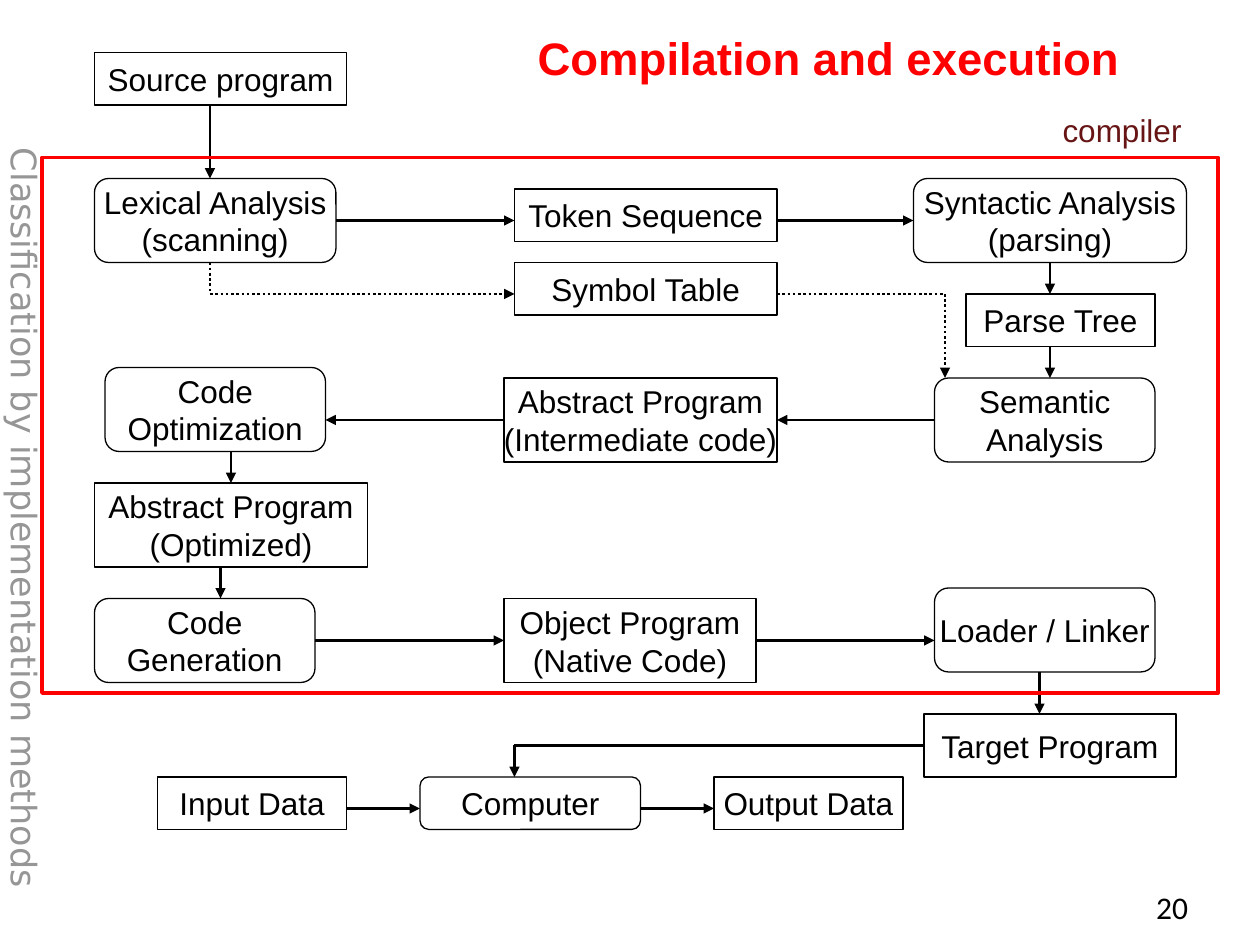
from dataclasses import dataclass
from itertools import pairwise

from lxml.etree import SubElement
from pptx import Presentation
from pptx.dml.color import RGBColor
from pptx.enum.dml import MSO_LINE
from pptx.enum.shapes import MSO_CONNECTOR, MSO_SHAPE
from pptx.enum.text import MSO_ANCHOR, MSO_AUTO_SIZE, PP_ALIGN
from pptx.oxml.ns import qn
from pptx.util import Cm, Pt


@dataclass(frozen=True)
class Theme:
    black: str = "000000"
    red: str = "FF0000"
    maroon: str = "661414"
    grey: str = "969696"
    font: str = "Arial"
    number_font: str = "Calibri"
    side_font: str = "DejaVu Sans"
    title_size: float = 26
    side_size: float = 20
    text_size: float = 18
    box_line: float = 0.75
    arrow_line: float = 1.5
    frame_line: float = 2.25


THEME = Theme()

# Left, top, width, height in grid units, then text
DATA_BOXES = [
    (9, 5, 24, 5, "Source program"),
    (49, 18, 25, 5, "Token Sequence"),
    (49, 25, 25, 5, "Symbol Table"),
    (92, 28, 18, 5, "Parse Tree"),
    (48, 36, 26, 8, "Abstract Program\n(Intermediate code)"),
    (9, 46, 26, 8, "Abstract Program\n(Optimized)"),
    (48, 57, 24, 8, "Object Program\n(Native Code)"),
    (88, 68, 24, 6, "Target Program"),
    (15, 74, 18, 5, "Input Data"),
    (68, 74, 18, 5, "Output Data"),
]
STEP_BOXES = [
    (9, 17, 23, 8, "Lexical Analysis\n(scanning)"),
    (87, 17, 26, 8, "Syntactic Analysis\n(parsing)"),
    (89, 36, 21, 8, "Semantic\nAnalysis"),
    (10, 35, 21, 8, "Code\nOptimization"),
    (9, 57, 21, 8, "Code\nGeneration"),
    (89, 56, 21, 8, "Loader / Linker"),
    (40, 74, 21, 5, "Computer"),
]
SOLID_ROUTES = [
    [(20, 10), (20, 17)],
    [(32, 21), (49, 21)],
    [(74, 21), (87, 21)],
    [(100, 25), (100, 28)],
    [(100, 33), (100, 36)],
    [(89, 40), (74, 40)],
    [(48, 40), (31, 40)],
    [(22, 43), (22, 46)],
    [(21, 54), (21, 57)],
    [(30, 61), (48, 61)],
    [(72, 61), (89, 61)],
    [(99, 64), (99, 68)],
    [(88, 71), (49, 71), (49, 74)],
    [(33, 77), (40, 77)],
    [(61, 77), (68, 77)],
]
DOTTED_ROUTES = [
    [(20, 25), (20, 28), (49, 28)],
    [(74, 28), (90, 28), (90, 36)],
]


def grid(*units):
    """Convert grid units, twelve to the inch, to lengths."""
    return [Cm(2.54 * u / 12) for u in units]


def assign(obj, values):
    for name, value in values.items():
        setattr(obj, name, value)


def write(sp, text, color=THEME.black, size=THEME.text_size, font=THEME.font,
          bold=False, align=PP_ALIGN.LEFT, anchor=MSO_ANCHOR.TOP, wrap=False):
    tf = sp.text_frame
    assign(tf, {"word_wrap": wrap, "vertical_anchor": anchor,
                "auto_size": MSO_AUTO_SIZE.NONE})
    p = tf.paragraphs[0]
    assign(p, {"text": text, "alignment": align})
    for r in p.runs:
        assign(r.font, {"name": font, "size": Pt(size), "bold": bold})
        r.font.color.rgb = RGBColor.from_string(color)
    return p


def add_outline(slide, kind, place, color=THEME.black, width=THEME.box_line):
    sp = slide.shapes.add_shape(kind, *grid(*place))
    sp.shadow.inherit = False
    sp.fill.background()
    sp.line.color.rgb = RGBColor.from_string(color)
    sp.line.width = Pt(width)
    return sp


def add_box(slide, kind, place, text):
    sp = add_outline(slide, kind, place)
    write(sp, text, align=PP_ALIGN.CENTER, anchor=MSO_ANCHOR.MIDDLE)


def add_route(slide, points, dash=MSO_LINE.SOLID):
    """Join the points with straight lines; the last one has an arrowhead."""
    for start, end in pairwise(points):
        cxn = slide.shapes.add_connector(
            MSO_CONNECTOR.STRAIGHT, *grid(*start, *end))
        cxn.line.color.rgb = RGBColor.from_string(THEME.black)
        assign(cxn.line, {"width": Pt(THEME.arrow_line), "dash_style": dash})
        if end == points[-1]:
            SubElement(cxn.line._get_or_add_ln(), qn("a:tailEnd"),
                       type="triangle")
        SubElement(cxn._element.spPr, qn("a:effectLst"))


def add_label(slide, place, text, rotation=0, **style):
    sp = slide.shapes.add_textbox(*(Cm(v) for v in place))
    sp.rotation = rotation
    write(sp, text, **style)


def set_title(slide, text):
    title = slide.shapes.title
    places = grid(50, 2, 64, 7)
    assign(title, dict(zip(("left", "top", "width", "height"), places)))
    p = write(title, text, THEME.red, THEME.title_size, bold=True,
              anchor=MSO_ANCHOR.MIDDLE, wrap=True)
    p.space_before = Pt(9)


def main():
    prs = Presentation()
    assign(prs, {"slide_width": Cm(25.4), "slide_height": Cm(19.05)})
    slide = prs.slides.add_slide(prs.slide_layouts[5])
    set_title(slide, "Compilation and execution")

    for kind, boxes in ((MSO_SHAPE.RECTANGLE, DATA_BOXES),
                        (MSO_SHAPE.ROUNDED_RECTANGLE, STEP_BOXES)):
        for *place, text in boxes:
            add_box(slide, kind, place, text)
    for points in SOLID_ROUTES:
        add_route(slide, points)
    for points in DOTTED_ROUTES:
        add_route(slide, points, MSO_LINE.ROUND_DOT)

    add_outline(slide, MSO_SHAPE.RECTANGLE, (4, 15, 112, 51),
                THEME.red, THEME.frame_line)
    add_label(slide, (21.17, 2.12, 2.92, 1.02), "compiler", color=THEME.maroon)
    add_label(slide, (-7.65, 10.34, 16.31, 1.09),
              "Classification by implementation methods", rotation=90,
              color=THEME.grey, size=THEME.side_size, font=THEME.side_font,
              wrap=True)
    add_label(slide, (22.5, 17.78, 1.7, 1.27), "20", font=THEME.number_font,
              align=PP_ALIGN.RIGHT, wrap=True)
    prs.save("out.pptx")


if __name__ == "__main__":
    main()
